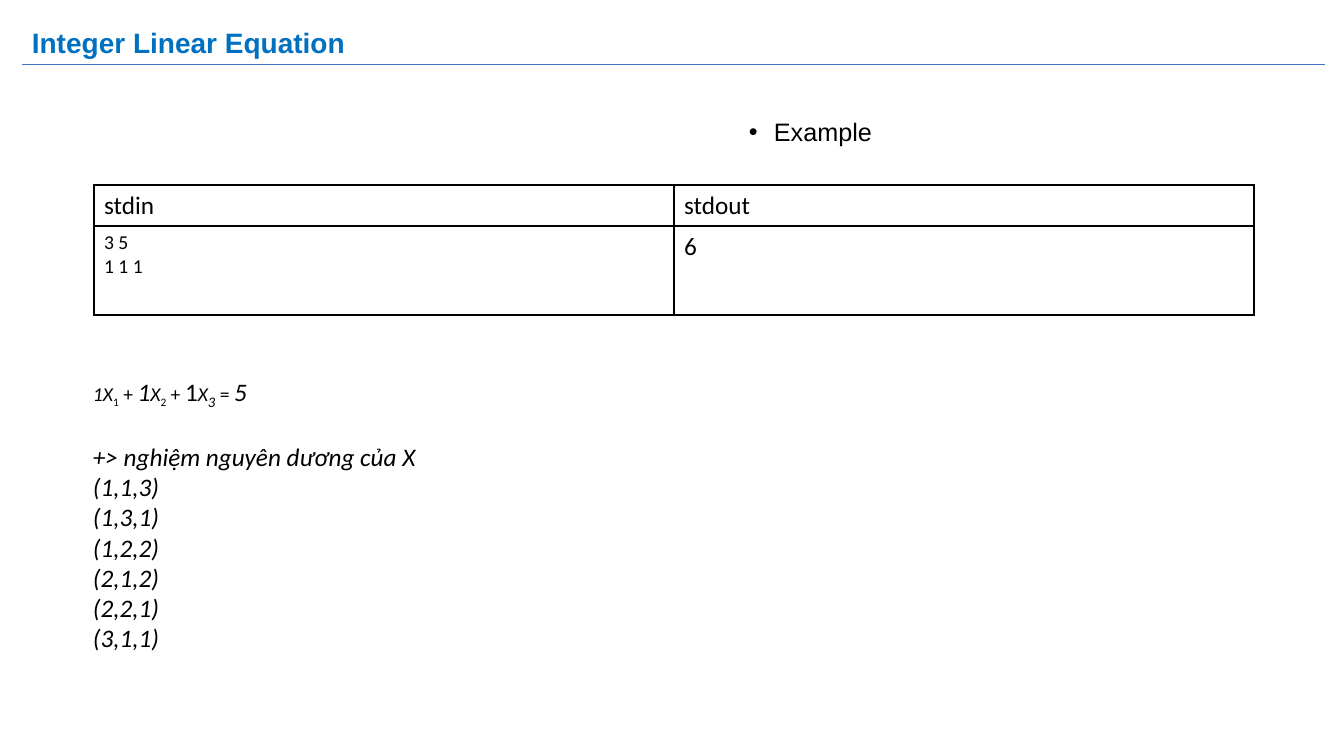
import pptx
import pptx.dml.color
import pptx.enum.shapes
import pptx.enum.text
import pptx.oxml
import pptx.oxml.ns
import pptx.util

COLOURS = {"title": "0070C0", "rule": "4472C4", "ink": "000000", "paper": "FFFFFF"}
EMU_PER_PX = 914400 / 100.8
NAMESPACE = pptx.oxml.ns.nsdecls("a")


def px(length):
    return pptx.util.Emu(round(length * EMU_PER_PX))


def colour(name):
    return pptx.dml.color.RGBColor.from_string(COLOURS[name])


def add_xml(parent, markup):
    """Append one drawing element, declaring its namespace."""
    tag, rest = markup.split(" ", 1)
    parent.append(pptx.oxml.parse_xml(f"{tag} {NAMESPACE} {rest}"))


class SlideBuilder:
    """Holds the page and the text style shared by its elements."""

    def __init__(self, page, font="Calibri", size=18):
        self.page = page
        self.style = {"name": font, "size": size, "bold": False, "italic": False}

    def fill_frame(self, frame, lines, ink="ink", **style):
        """Each line is a list of (words, format) pairs."""
        for number, line in enumerate(lines):
            para = frame.add_paragraph() if number else frame.paragraphs[0]
            for words, changes in line:
                span = para.add_run()
                span.text = words
                values = {**self.style, **style, **changes}
                baseline = values.pop("baseline", None)
                values["size"] = pptx.util.Pt(values["size"])
                for attribute, value in values.items():
                    setattr(span.font, attribute, value)
                span.font.color.rgb = colour(ink)
                if baseline:
                    span._r.get_or_add_rPr().set("baseline", str(baseline * 1000))

    def text(self, left, top, width, height, lines, frame_format=None, **style):
        box = self.page.shapes.add_textbox(px(left), px(top), px(width), px(height))
        frame = box.text_frame
        for attribute, value in {"word_wrap": True, **(frame_format or {})}.items():
            setattr(frame, attribute, value)
        self.fill_frame(frame, lines, **style)
        return frame.paragraphs

    def bullet(self, para, indent):
        properties = para._p.get_or_add_pPr()
        properties.set("marL", str(px(indent)))
        properties.set("indent", str(-px(indent)))
        add_xml(properties, f'<a:buClr ><a:srgbClr val="{COLOURS["ink"]}"/></a:buClr>')
        add_xml(properties, '<a:buFont typeface="Arial"/>')
        add_xml(properties, '<a:buChar char="•"/>')

    def line(self, start, end, ink, weight):
        rule = self.page.shapes.add_connector(
            pptx.enum.shapes.MSO_CONNECTOR.STRAIGHT, *map(px, start + end))
        rule.line.color.rgb = colour(ink)
        rule.line.width = pptx.util.Pt(weight)
        add_xml(rule._element.spPr, "<a:effectLst />")

    def table(self, left, top, column_width, row_heights, rows):
        columns = len(rows[0])
        table = self.page.shapes.add_table(
            len(rows), columns, px(left), px(top),
            px(column_width * columns), px(sum(row_heights))).table
        table.first_row = table.horz_banding = False
        for column in table.columns:
            column.width = px(column_width)
        for row, height, contents in zip(table.rows, row_heights, rows):
            row.height = px(height)
            for cell, lines in zip(row.cells, contents):
                self.fill_frame(cell.text_frame, lines)
                self.border(cell, 1)
                cell.fill.solid()
                cell.fill.fore_color.rgb = colour("paper")

    def border(self, cell, weight):
        properties = cell._tc.get_or_add_tcPr()
        for side in ("lnL", "lnR", "lnT", "lnB"):
            add_xml(properties, f'<a:{side} w="{pptx.util.Pt(weight)}"><a:solidFill>'
                    f'<a:srgbClr val="{COLOURS["ink"]}"/></a:solidFill></a:{side}>')


def main():
    deck = pptx.Presentation()
    deck.slide_width, deck.slide_height = px(1344), px(756)
    builder = SlideBuilder(deck.slides.add_slide(deck.slide_layouts[6]))

    # Title
    title = builder.text(
        22, 15, 1302, 59, [[("Integer Linear Equation", {})]],
        {"vertical_anchor": pptx.enum.text.MSO_ANCHOR.MIDDLE},
        ink="title", name="Arial", size=20, bold=True)
    title[0].line_spacing = 0.9

    # Input and output table
    small = {"size": 14}
    builder.table(94, 185, 580, (41, 89), [
        [[[("stdin", {})]], [[("stdout", {})]]],
        [[[("3 5", small)], [("1 1 1", small)]], [[("6", {})]]],
    ])

    # Rule under the title
    builder.line((22, 65), (1325, 65), "rule", 0.75)

    # Example heading
    example = builder.text(739, 115, 467, 640, [[("Example", {})]], name="Arial")
    example[0].line_spacing = 0.9
    builder.bullet(example[0], 25)

    # Equation and its solutions
    upright = {"size": 14, "italic": False}
    index = {**upright, "baseline": -25}
    equation = [
        ("1X", small), ("1", index), (" + ", upright),
        ("1", {}), ("X", small), ("2", index), (" + ", upright),
        ("1", {"italic": False}), ("X", small), ("3", {"baseline": -25}),
        (" = ", upright), ("5", {}),
    ]
    solutions = ["(1,1,3)", "(1,3,1)", "(1,2,2)", "(2,1,2)", "(2,2,1)", "(3,1,1)"]
    answer = ["+> nghiệm nguyên dương của X", *solutions]
    working = builder.text(
        83, 371, 672, 224, [equation] + [[(words, {})] for words in answer],
        {"auto_size": pptx.enum.text.MSO_AUTO_SIZE.SHAPE_TO_FIT_TEXT}, italic=True)
    working[1].space_before = pptx.util.Pt(22)

    deck.save("out.pptx")


if __name__ == "__main__":
    main()
